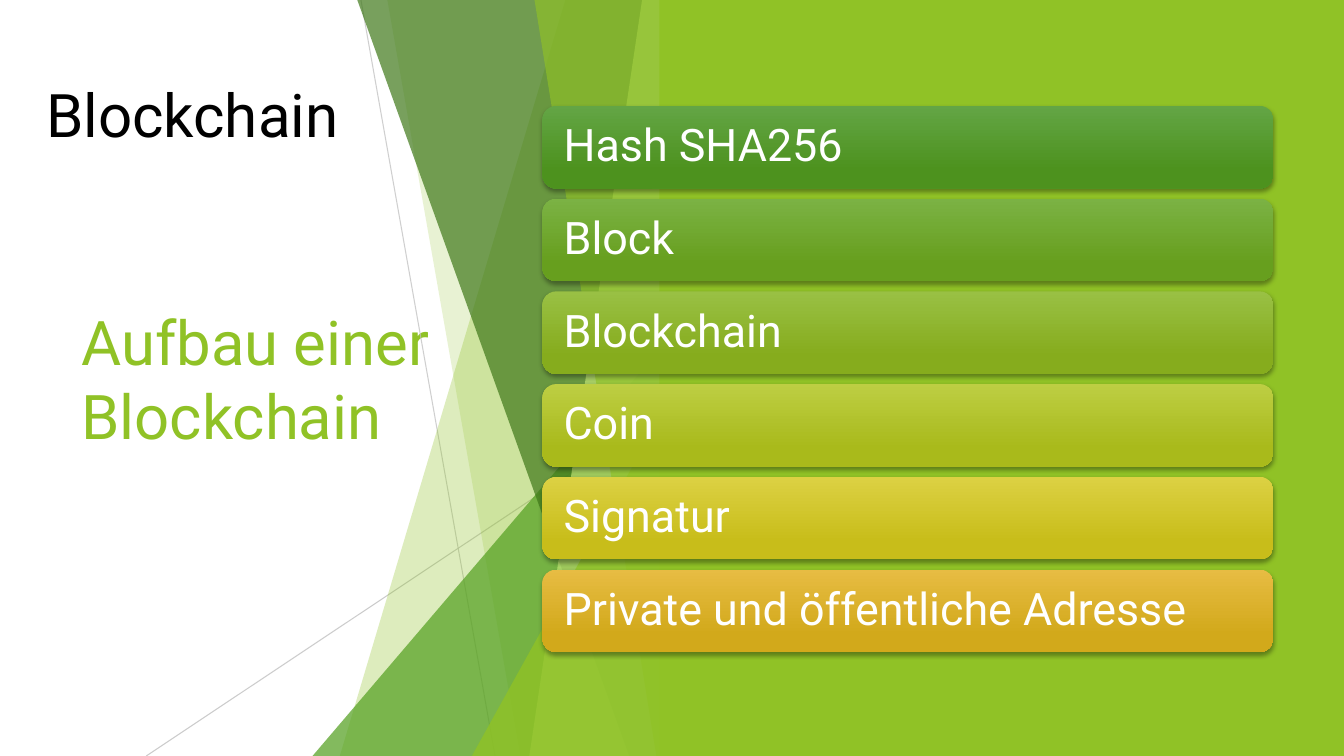
from lxml.etree import SubElement
from pptx import Presentation
from pptx.dml.color import RGBColor
from pptx.enum.shapes import MSO_CONNECTOR, MSO_SHAPE
from pptx.enum.text import MSO_ANCHOR
from pptx.oxml.ns import qn
from pptx.util import Pt

PX = 9144  # 100 px to the inch
WIDTH, HEIGHT = 1333, 750


def paint(color, code, owner=None, opacity=100):
    color.rgb = RGBColor.from_string(code)
    if owner is not None and opacity < 100:
        solid = next(owner.element.iter(qn("a:srgbClr")))
        SubElement(solid, qn("a:alpha"), val=str(opacity * 1000))


def write(shape, text, size, color, inset=10, line_spacing=None):
    frame = shape.text_frame
    frame.word_wrap = True
    frame.vertical_anchor = MSO_ANCHOR.MIDDLE
    frame.margin_left = frame.margin_right = inset * PX
    paragraph = frame.paragraphs[0]
    paragraph.line_spacing = line_spacing
    run = paragraph.add_run()
    run.text = text
    run.font.name = "Roboto"
    run.font.size = Pt(size)
    paint(run.font.color, color)


prs = Presentation()
prs.slide_width, prs.slide_height = WIDTH * PX, HEIGHT * PX
slide = prs.slides.add_slide(prs.slide_layouts[6])
shapes = slide.shapes

# Slide title
title = shapes.add_textbox(71 * PX, 151 * PX, 388 * PX, 448 * PX)
write(title, "Aufbau einer Blockchain", 44, "90C226")

# Thin crossing lines
for x1, y1, x2, y2, opacity in [(358, 0, 491, 750, 75), (666, 403, 145, 750, 80)]:
    ray = shapes.add_connector(
        MSO_CONNECTOR.STRAIGHT, x1 * PX, y1 * PX, x2 * PX, y2 * PX)
    ray.line.width = Pt(0.75)
    ray.line.fill.solid()
    paint(ray.line.fill.fore_color, "BFBFBF", ray, opacity)
    SubElement(ray.element.spPr, qn("a:effectLst"))

# Translucent facets: top x, top y, bottom x, colour, opacity
FACET_RIGHT = 666
facets = [
    (561, -1, 337, "90C226", 30),
    (384, -1, 516, "90C226", 20),
    (FACET_RIGHT, 333, 310, "54A021", 72),
    (354, -1, 624, "3F7819", 70),
    (637, -1, 525, "C0E474", 70),
    (530, -1, 651, "90C226", 65),
    (FACET_RIGHT, 393, 468, "90C226", 80),
]
for top_x, top_y, bottom_x, color, opacity in facets:
    if top_x == FACET_RIGHT:
        facet = shapes.add_shape(
            MSO_SHAPE.ISOSCELES_TRIANGLE, bottom_x * PX, top_y * PX,
            (FACET_RIGHT - bottom_x) * PX, (HEIGHT - top_y) * PX)
        facet.adjustments[0] = 1
    else:
        outline = shapes.build_freeform(top_x, top_y, scale=PX)
        outline.add_line_segments(
            [(FACET_RIGHT, top_y), (FACET_RIGHT, HEIGHT), (bottom_x, HEIGHT)])
        facet = outline.convert_to_shape()
    facet.shadow.inherit = False
    facet.line.fill.background()
    facet.fill.solid()
    paint(facet.fill.fore_color, color, facet, opacity)

# Green panel on the right
panel = shapes.add_shape(
    MSO_SHAPE.RECTANGLE, 654 * PX, 0, (WIDTH - 654) * PX, HEIGHT * PX)
panel.shadow.inherit = False
panel.line.fill.background()
panel.fill.solid()
paint(panel.fill.fore_color, "90C226")

# Topic bars
topics = [
    ("Hash SHA256", "63A545", "4D921E"),
    ("Block", "7BB244", "679F1E"),
    ("Blockchain", "99C044", "86AC1D"),
    ("Coin", "BDCE43", "A9BA1B"),
    ("Signatur", "DCD143", "C8BD1A"),
    ("Private und öffentliche Adresse", "E7BC43", "D2A91B"),
]
for row, (topic, light, dark) in enumerate(topics):
    bar = shapes.add_shape(
        MSO_SHAPE.ROUNDED_RECTANGLE, 538 * PX, (105 + 92 * row) * PX,
        725 * PX, 82 * PX)
    bar.line.fill.background()
    bar.fill.gradient()
    bar.fill.gradient_angle = 270
    for stop, position, color in zip(bar.fill.gradient_stops, (0, 0.78), (light, dark)):
        stop.position = position
        paint(stop.color, color)
    bar.shadow.inherit = False
    effects = bar.element.spPr.find(qn("a:effectLst"))
    shadow = SubElement(
        effects, qn("a:outerShdw"), blurRad=str(Pt(3)), dist=str(Pt(2)),
        dir="5400000", rotWithShape="0")
    black = SubElement(shadow, qn("a:srgbClr"), val="000000")
    SubElement(black, qn("a:alpha"), val="35000")
    write(bar, topic, 32, "FFFFFF", inset=17, line_spacing=0.9)
    bar.text_frame.paragraphs[0].alignment = 1

# Heading at the top left
heading = shapes.add_textbox(36 * PX, 35 * PX, 388 * PX, 155 * PX)
write(heading, "Blockchain", 42.9, "000000")

prs.save("out.pptx")
